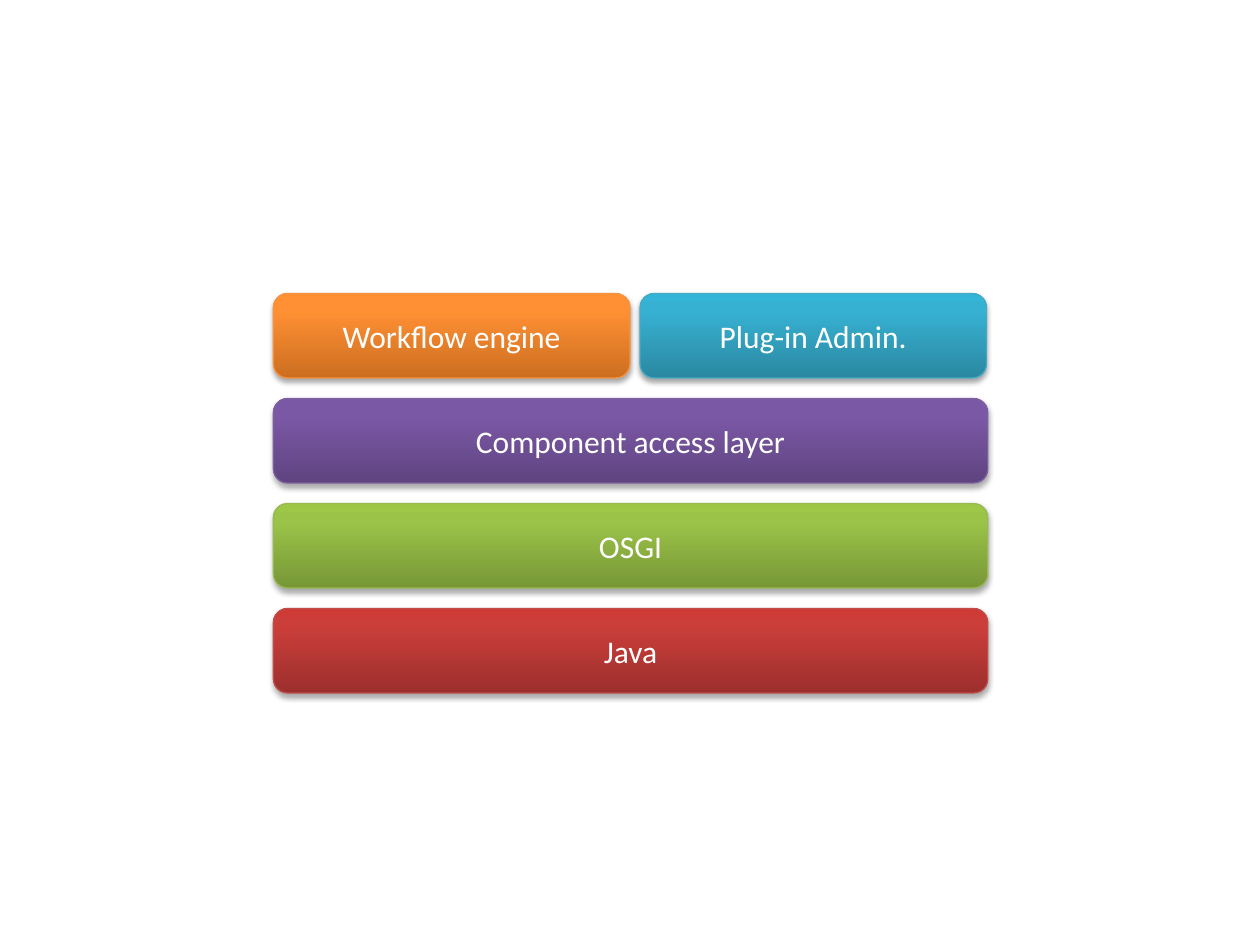
import copy

import pptx
import pptx.dml.color
import pptx.enum.shapes
import pptx.enum.text
import pptx.oxml
import pptx.oxml.ns
import pptx.util

Inches = pptx.util.Inches
Pt = pptx.util.Pt
RGBColor = pptx.dml.color.RGBColor

WHITE = RGBColor(0xFF, 0xFF, 0xFF)

# Each palette: gradient from bottom to top, then the outline
RED = [RGBColor(0x9C, 0x2F, 0x2D), RGBColor(0xCB, 0x3E, 0x3A),
       RGBColor(0xCE, 0x3B, 0x37), RGBColor(0xBF, 0x4C, 0x48)]
GREEN = [RGBColor(0x77, 0x97, 0x37), RGBColor(0x9B, 0xC3, 0x48),
         RGBColor(0x9D, 0xC7, 0x46), RGBColor(0x98, 0xB9, 0x55)]
PURPLE = [RGBColor(0x5F, 0x44, 0x80), RGBColor(0x7B, 0x58, 0xA6),
          RGBColor(0x7C, 0x57, 0xA8), RGBColor(0x7D, 0x60, 0xA0)]
ORANGE = [RGBColor(0xCC, 0x6E, 0x20), RGBColor(0xFF, 0x90, 0x34),
          RGBColor(0xFF, 0x91, 0x36), RGBColor(0xF6, 0x92, 0x40)]
BLUE = [RGBColor(0x2A, 0x88, 0xA2), RGBColor(0x37, 0xB1, 0xD2),
        RGBColor(0x34, 0xB4, 0xD6), RGBColor(0x46, 0xAA, 0xC5)]

# Layers from bottom to top: (label, width, palette) for each block
LAYERS = [
    [("Java", 5.67, RED)],
    [("OSGI", 5.67, GREEN)],
    [("Component access layer", 5.67, PURPLE)],
    [("Workflow engine", 2.83, ORANGE), ("Plug-in Admin.", 2.75, BLUE)],
]
STACK_LEFT, BOTTOM_LAYER_TOP = 2.17, 4.83
LAYER_PITCH, BLOCK_HEIGHT, BLOCK_GAP = 2.5 / 3, 0.67, 0.08

SHADOW = (
    f'<a:outerShdw {pptx.oxml.ns.nsdecls("a")} blurRad="{Pt(3.1)}" '
    f'dist="{Pt(1.8)}" dir="5400000" rotWithShape="0">'
    '<a:srgbClr val="000000"><a:alpha val="35000"/></a:srgbClr></a:outerShdw>'
)


def write_text(shape, text, size=18, font="Calibri", color=WHITE):
    frame = shape.text_frame
    frame.word_wrap = True
    frame.vertical_anchor = pptx.enum.text.MSO_ANCHOR.MIDDLE
    para = frame.paragraphs[0]
    para.alignment = pptx.enum.text.PP_ALIGN.CENTER
    span = para.add_run()
    span.text = text
    span.font.size = Pt(size)
    span.font.name = font
    span.font.color.rgb = color


def paint(shape, palette):
    *gradient, outline = palette
    shape.fill.gradient()
    shape.fill.gradient_angle = 90
    # A new gradient has two stops; add the third
    stop_list = shape.fill._fill._gradFill.gsLst
    stop_list.append(copy.deepcopy(stop_list[-1]))
    for stop, position, color in zip(shape.fill.gradient_stops, (0, 0.8, 1), gradient):
        stop.position = position
        stop.color.rgb = color
    shape.line.color.rgb = outline
    shape.line.width = Pt(0.75)
    # Soft shadow straight below the block
    shape.shadow.inherit = False
    effects = shape._element.spPr.find(pptx.oxml.ns.qn("a:effectLst"))
    effects.append(pptx.oxml.parse_xml(SHADOW))


def main():
    deck = pptx.Presentation()
    deck.slide_width, deck.slide_height = Inches(10), Inches(7.5)
    page = deck.slides.add_slide(deck.slide_layouts[6])

    # Stack the layers upwards, placing blocks from left to right
    for level, blocks in enumerate(LAYERS):
        left, top = STACK_LEFT, BOTTOM_LAYER_TOP - level * LAYER_PITCH
        for label, width, palette in blocks:
            box = page.shapes.add_shape(
                pptx.enum.shapes.MSO_SHAPE.ROUNDED_RECTANGLE,
                Inches(left), Inches(top), Inches(width), Inches(BLOCK_HEIGHT))
            paint(box, palette)
            write_text(box, label)
            left += width + BLOCK_GAP

    deck.save("out.pptx")


if __name__ == "__main__":
    main()
